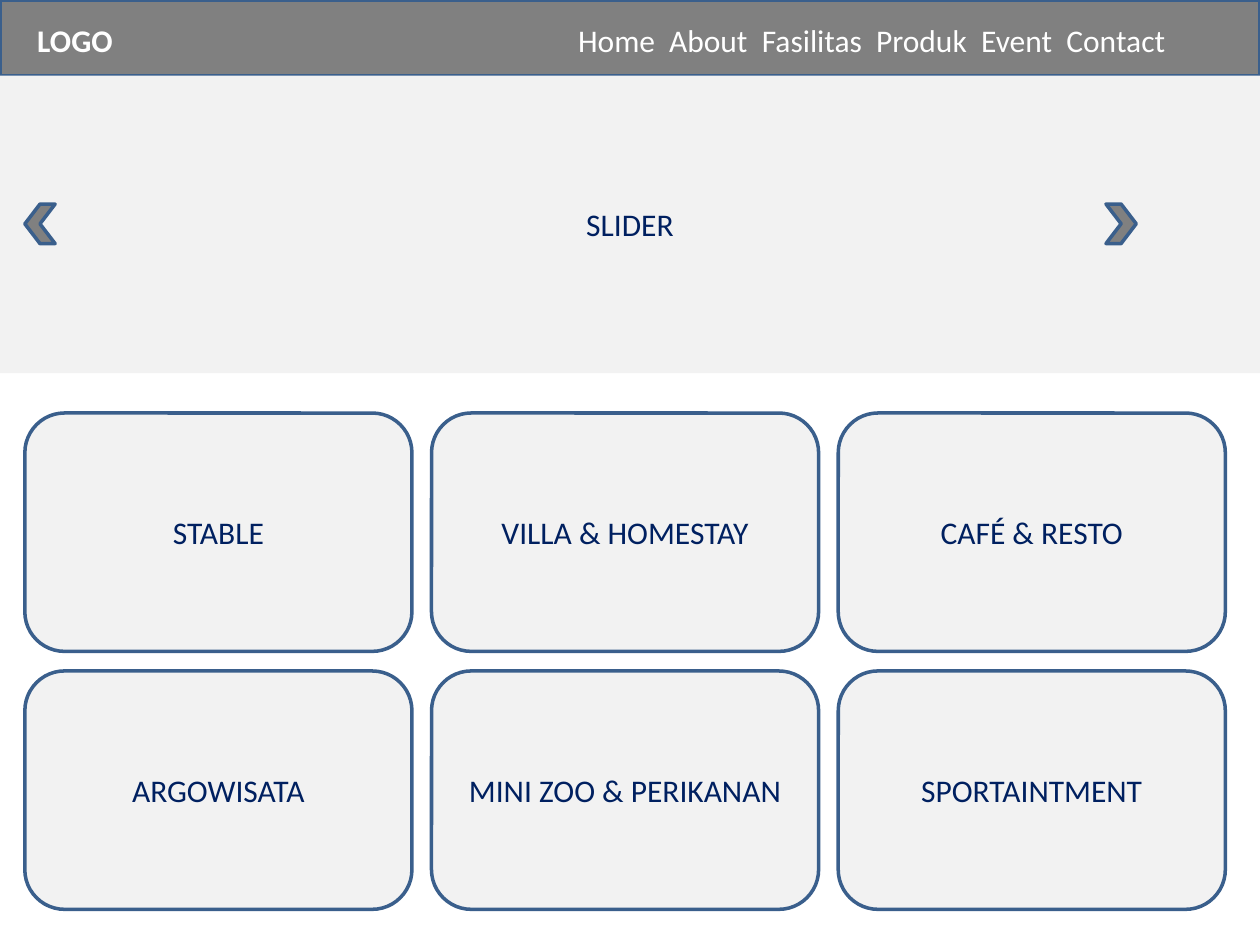
from lxml.etree import SubElement
from pptx import Presentation
from pptx.dml.color import RGBColor
from pptx.enum.shapes import MSO_SHAPE as Shape
from pptx.enum.text import MSO_ANCHOR as Anchor, MSO_AUTO_SIZE as AutoSize, PP_ALIGN as Align
from pptx.oxml.ns import qn
from pptx.util import Pt

GREY, PALE, BLUE, NAVY, WHITE = "808080", "F2F2F2", "3A5F8C", "002060", "FFFFFF"


def color(value):
    return RGBColor.from_string(value)


def write(frame, text, size=18, font="Calibri", ink=NAVY, bold=False,
          align=Align.CENTER, anchor=Anchor.MIDDLE, tabs=()):
    frame.word_wrap = True
    frame.vertical_anchor = anchor
    paragraph = frame.paragraphs[0]
    paragraph.alignment = align
    if tabs:
        stops = SubElement(paragraph._p.get_or_add_pPr(), qn("a:tabLst"))
        for position in tabs:
            SubElement(stops, qn("a:tab"), pos=str(Pt(position)), algn="l")
    run = paragraph.add_run()
    run.text = text
    run.font.size = Pt(size)
    run.font.name = font
    run.font.bold = bold
    run.font.color.rgb = color(ink)


class Wireframe:
    def __init__(self, slide, outline=BLUE, weight=2):
        self.slide = slide
        self.outline = outline
        self.weight = weight

    def panel(self, kind, left, top, width, height, fill=PALE, text="", outlined=True, turn=0):
        panel = self.slide.shapes.add_shape(kind, Pt(left), Pt(top), Pt(width), Pt(height))
        panel.shadow.inherit = False
        panel.rotation = turn
        panel.fill.solid()
        panel.fill.fore_color.rgb = color(fill)
        if outlined:
            panel.line.color.rgb = color(self.outline)
            panel.line.width = Pt(self.weight)
        else:
            panel.line.fill.background()
        if text:
            write(panel.text_frame, text)

    def label(self, left, top, width, height, text, **style):
        label = self.slide.shapes.add_textbox(Pt(left), Pt(top), Pt(width), Pt(height))
        label.text_frame.auto_size = AutoSize.SHAPE_TO_FIT_TEXT
        write(label.text_frame, text, ink=WHITE, align=Align.LEFT, anchor=Anchor.TOP, **style)


deck = Presentation()
deck.slide_width, deck.slide_height = Pt(720), Pt(540)
page = Wireframe(deck.slides.add_slide(deck.slide_layouts[6]))

page.panel(Shape.RECTANGLE, 0, 0, 720, 43.2, fill=GREY)
page.panel(Shape.RECTANGLE, 0, 43.2, 720, 170, text="SLIDER", outlined=False)

sections = [
    ["STABLE", "VILLA & HOMESTAY", "CAFÉ & RESTO"],
    ["ARGOWISATA", "MINI ZOO & PERIKANAN", "SPORTAINTMENT"],
]
margin, first_row, card_width, card_height, gap = 14.2, 236, 221.2, 136.2, 11.2
for row, names in enumerate(sections):
    for column, name in enumerate(names):
        page.panel(Shape.ROUNDED_RECTANGLE,
                   margin + column * (card_width + gap),
                   first_row + row * (card_height + gap),
                   card_width, card_height, text=name)

for arrow_left, turn in ((632, 0), (margin, 180)):
    page.panel(Shape.CHEVRON, arrow_left, 116.6, 17.3, 22.6, fill=GREY, turn=turn)

menu = ["Home", "About", "Fasilitas", "Produk", "Event", "Contact"]
page.label(margin, 8.6, 184.3, 29, "LOGO", bold=True)
page.label(323.3, 8.6, 377.3, 29, "\t".join(menu), tabs=(52, 105, 170.3, 230.3, 279))

deck.save("out.pptx")
